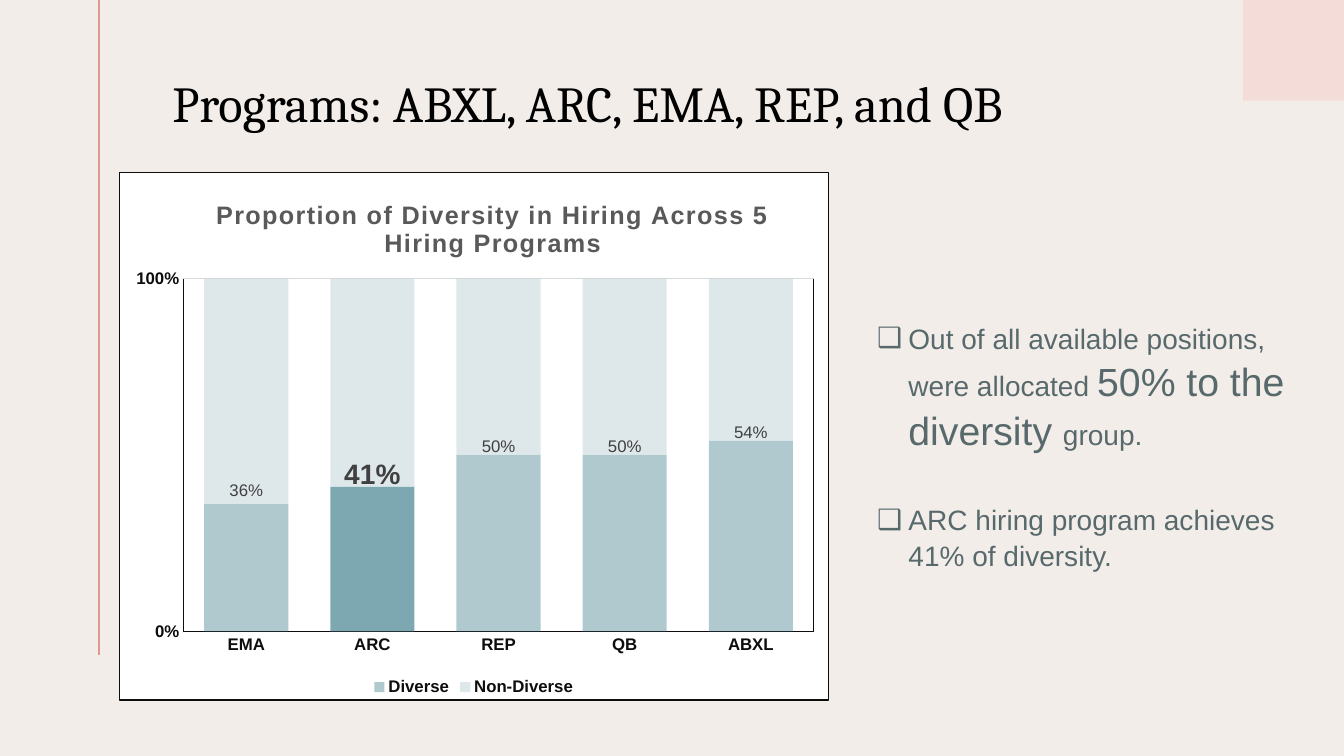
from lxml import etree
from pptx import Presentation
from pptx.chart.data import CategoryChartData
from pptx.dml.color import RGBColor
from pptx.enum.chart import XL_CHART_TYPE, XL_LABEL_POSITION, XL_LEGEND_POSITION, XL_TICK_MARK
from pptx.enum.shapes import MSO_CONNECTOR, MSO_SHAPE
from pptx.enum.text import MSO_ANCHOR, MSO_AUTO_SIZE, PP_ALIGN
from pptx.oxml import parse_xml
from pptx.oxml.ns import nsdecls, qn
from pptx.util import Inches, Pt

STACKED = XL_CHART_TYPE.COLUMN_STACKED
INSIDE_END = XL_LABEL_POSITION.INSIDE_END
LEGEND_BOTTOM = XL_LEGEND_POSITION.BOTTOM
NO_TICK = XL_TICK_MARK.NONE
LEFT, TOP, MIDDLE = PP_ALIGN.LEFT, MSO_ANCHOR.TOP, MSO_ANCHOR.MIDDLE

CREAM = RGBColor(0xF3, 0xED, 0xEA)
BLUSH = RGBColor(0xF4, 0xDD, 0xD8)
CORAL = RGBColor(0xDF, 0x99, 0x8B)
BLACK = RGBColor(0, 0, 0)
WHITE = RGBColor(0xFF, 0xFF, 0xFF)
INK = RGBColor(0x0D, 0x0D, 0x0D)
TITLE_GREY = RGBColor(0x59, 0x59, 0x59)
LABEL_GREY = RGBColor(0x40, 0x40, 0x40)
GRID_GREY = RGBColor(0xD9, 0xD9, 0xD9)
SLATE = RGBColor(0x58, 0x69, 0x6B)
TEAL = RGBColor(0x60, 0x94, 0x9F)
MIST = RGBColor(0xD0, 0xDF, 0xE2)

PROGRAMS = ["EMA", "ARC", "REP", "QB", "ABXL"]
DIVERSE = [0.36, 0.41, 0.5, 0.5, 0.54]
LABEL_SHIFTS = [-0.05, -0.06, -0.04, -0.04, -0.04]
HIGHLIGHT = PROGRAMS.index("ARC")


def style_font(font, size, color, name="Arial", bold=False):
    for key, value in {"name": name, "size": Pt(size), "bold": bold}.items():
        setattr(font, key, value)
    font.color.rgb = color


def fill_with(fill, color, alpha=100):
    fill.solid()
    fill.fore_color.rgb = color
    if alpha < 100:
        for clr in fill._xPr.iter(qn("a:srgbClr")):
            etree.SubElement(clr, qn("a:alpha"), val=str(alpha * 1000))


def layout_xml(**values):
    parts = "".join(f'<c:{k} val="{v}"/>' for k, v in values.items())
    return parse_xml(f'<c:layout {nsdecls("c")}><c:manualLayout>{parts}'
                     '</c:manualLayout></c:layout>')


def frame_xml():
    return parse_xml(
        f'<c:spPr {nsdecls("c", "a")}><a:solidFill><a:srgbClr val="{WHITE}"/></a:solidFill>'
        f'<a:ln w="{Pt(0.75)}"><a:solidFill><a:srgbClr val="{INK}"/></a:solidFill></a:ln></c:spPr>')


def set_layout(parent, after, **values):
    for old in parent.findall(qn("c:layout")):
        parent.remove(old)
    if after is None:
        parent.insert(0, layout_xml(**values))
    else:
        after.addnext(layout_xml(**values))


class ProgramSlide:
    """Positions are percentages of the slide's width and height."""

    def __init__(self, prs):
        self.width, self.height = prs.slide_width, prs.slide_height
        self.s = prs.slides.add_slide(prs.slide_layouts[1])
        fill_with(self.s.background.fill, CREAM)

    def box(self, x, y, w, h):
        return [round(share * side / 100) for share, side in
                zip((x, y, w, h), (self.width, self.height) * 2)]

    def rectangle(self, color, *area):
        sp = self.s.shapes.add_shape(MSO_SHAPE.RECTANGLE, *self.box(*area))
        sp.shadow.inherit = False
        fill_with(sp.fill, color)
        sp.line.fill.background()

    def line(self, color, width, *ends):
        cxn = self.s.shapes.add_connector(MSO_CONNECTOR.STRAIGHT, *self.box(*ends))
        cxn.line.color.rgb = color
        cxn.line.width = Pt(width)
        etree.SubElement(cxn._element.spPr, qn("a:effectLst"))

    def placeholder(self, index, anchor, auto_size, *area):
        sp = self.s.placeholders[index]
        for key, value in zip(("left", "top", "width", "height"), self.box(*area)):
            setattr(sp, key, value)
        tf = sp.text_frame
        for key, value in {"word_wrap": True, "vertical_anchor": anchor,
                           "auto_size": auto_size}.items():
            setattr(tf, key, value)
        return tf

    def title(self, text, *area):
        p = self.placeholder(0, MIDDLE, MSO_AUTO_SIZE.NONE, *area).paragraphs[0]
        p.alignment, p.line_spacing = LEFT, 0.9
        r = p.add_run()
        r.text = text
        style_font(r.font, 36, BLACK, "Cambria")

    def bullets(self, items, gap, *area):
        tf = self.placeholder(1, TOP, MSO_AUTO_SIZE.SHAPE_TO_FIT_TEXT, *area)
        for i, runs in enumerate(items):
            p = tf.add_paragraph() if i else tf.paragraphs[0]
            pPr = p._p.get_or_add_pPr()
            pPr.set("marL", str(Inches(0.31)))
            pPr.set("indent", str(-Inches(0.31)))
            etree.SubElement(pPr, qn("a:buChar"), char="❑")
            for key, value in {"alignment": LEFT, "line_spacing": 1.05, "space_after": Pt(0),
                               "space_before": Pt(gap if i else 0)}.items():
                setattr(p, key, value)
            for text, size in runs:
                r = p.add_run()
                r.text = text
                style_font(r.font, size, SLATE)

    def chart(self, title, *area):
        data = CategoryChartData(number_format="0%")
        data.categories = PROGRAMS
        data.add_series("Diverse", DIVERSE)
        data.add_series("Non-Diverse", [round(1 - v, 2) for v in DIVERSE])
        chart = self.s.shapes.add_chart(STACKED, *self.box(*area), data).chart
        style_font(chart.font, 10, BLACK)

        # Title and legend
        chart.has_title = True
        p = chart.chart_title.text_frame.paragraphs[0]
        r = p.add_run()
        r.text = title
        style_font(r.font, 18, TITLE_GREY, bold=True)
        r.font._element.set("spc", "100")
        heading = chart.chart_title._element
        set_layout(heading, heading.find(qn("c:tx")), xMode="edge", yMode="edge", x=0.13, y=0.04)
        chart.has_legend = True
        chart.legend.position = LEGEND_BOTTOM
        chart.legend.include_in_layout = False

        # Axes
        category, value = chart.category_axis, chart.value_axis
        for part in (category.tick_labels, value.tick_labels, chart.legend):
            style_font(part.font, 12, INK, bold=True)
        for axis in (category, value):
            axis.major_tick_mark = axis.minor_tick_mark = NO_TICK
        for key, setting in {"minimum_scale": 0, "maximum_scale": 1, "major_unit": 1,
                             "has_major_gridlines": True}.items():
            setattr(value, key, setting)
        value.tick_labels.number_format = "0%"
        value.tick_labels.number_format_is_linked = False
        value.format.line.fill.background()
        for line, color in ((category.format.line, INK),
                            (value.major_gridlines.format.line, GRID_GREY)):
            line.color.rgb = color
            line.width = Pt(0.75)

        # Columns
        plot = chart.plots[0]
        plot.gap_width, plot.overlap, plot.vary_by_categories = 50, 100, False
        diverse, others = plot.series
        fill_with(diverse.format.fill, TEAL, 50)
        fill_with(others.format.fill, MIST, 70)
        fill_with(diverse.points[HIGHLIGHT].format.fill, TEAL, 81)

        # Labels lifted above the diverse share
        labels = diverse.data_labels
        labels.show_value, labels.position = True, INSIDE_END
        labels.number_format, labels.number_format_is_linked = "0%", False
        style_font(labels.font, 12, LABEL_GREY)
        for i in range(len(PROGRAMS)):
            label = diverse.points[i].data_label
            label.position = INSIDE_END
            strong = i == HIGHLIGHT
            style_font(label.font, 20 if strong else 12, LABEL_GREY, bold=strong)
        for dLbl, shift in zip(labels._element.findall(qn("c:dLbl")), LABEL_SHIFTS):
            set_layout(dLbl, dLbl.find(qn("c:idx")), x=0, y=shift)

        # Plot area and frame
        space = chart._chartSpace
        plot_area = space.chart.plotArea
        set_layout(plot_area, None, layoutTarget="inner", xMode="edge", yMode="edge",
                   x=0.09, y=0.2, w=0.89, h=0.67)
        plot_area.append(frame_xml())
        space.find(qn("c:txPr")).addprevious(frame_xml())


def main():
    prs = Presentation()
    prs.slide_width, prs.slide_height = Inches(13.33), Inches(7.5)
    slide = ProgramSlide(prs)

    # Corner square and margin rule
    slide.rectangle(BLUSH, 92.5, 0, 7.5, 13.33)
    slide.line(CORAL, 1.5, 7.35, 0, 7.35, 86.67)

    # Title, chart and findings
    slide.title("Programs: ABXL, ARC, EMA, REP, and QB", 12.08, 7.33, 80.5, 13.33)
    slide.chart("Proportion of Diversity in Hiring Across 5 Hiring Programs",
                8.85, 22.8, 52.81, 69.87)
    slide.bullets([
        [("Out of all available positions, were allocated ", 20),
         ("50% to the diversity ", 28), ("group.", 20)],
        [("ARC hiring program achieves 41% of diversity.", 20)],
    ], 34, 64.52, 41.6, 32.41, 33.6)
    prs.save("out.pptx")


if __name__ == "__main__":
    main()
